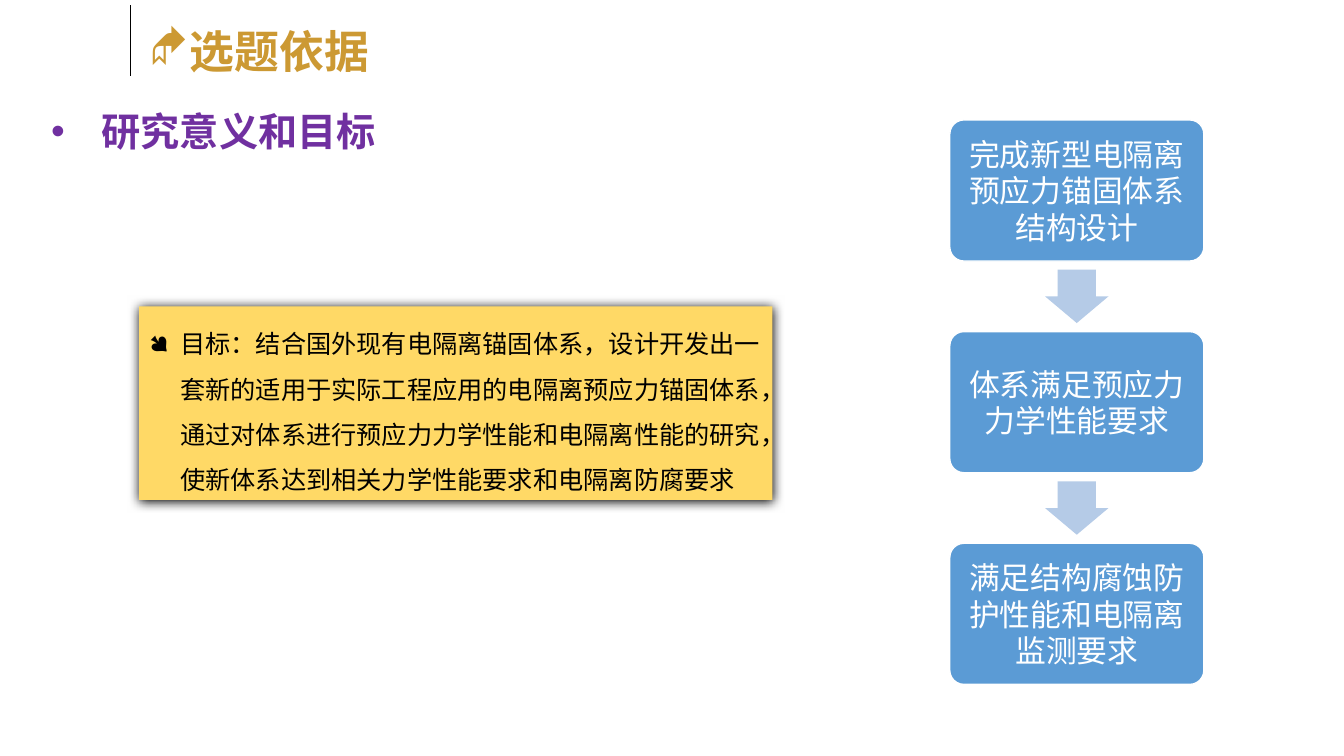
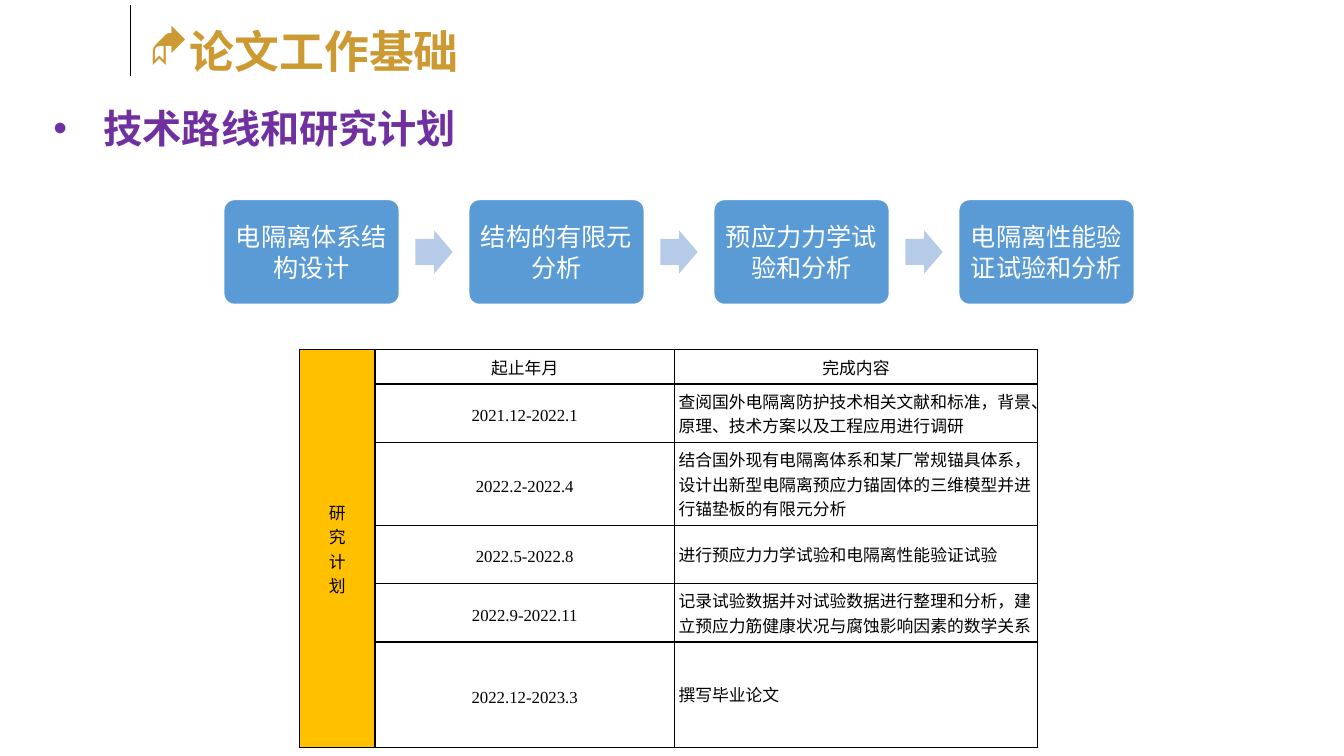
from dataclasses import dataclass

from lxml import etree
from pptx import Presentation
from pptx.dml.color import RGBColor
from pptx.enum.shapes import MSO_CONNECTOR, MSO_SHAPE
from pptx.enum.text import MSO_ANCHOR, PP_ALIGN
from pptx.oxml.ns import qn
from pptx.util import Inches, Pt

LEFT, CENTER = PP_ALIGN.LEFT, PP_ALIGN.CENTER
TOP, MIDDLE = MSO_ANCHOR.TOP, MSO_ANCHOR.MIDDLE
RECTANGLE, ROUNDED = MSO_SHAPE.RECTANGLE, MSO_SHAPE.ROUNDED_RECTANGLE
RIGHT_ARROW, DOWN_ARROW = MSO_SHAPE.RIGHT_ARROW, MSO_SHAPE.DOWN_ARROW
STRAIGHT = MSO_CONNECTOR.STRAIGHT

GOLD, PURPLE = "CC9933", "7030A0"
BLUE, PALE_BLUE = "5B9BD5", "B5CBE7"
YELLOW, AMBER = "FFD966", "FFC000"
BLACK, WHITE = "000000", "FFFFFF"
HEADING_FONT, BODY_FONT, FLOW_FONT = "Noto Sans CJK SC", "Times New Roman", "Calibri"
EAST_ASIAN_FONT = "Noto Sans CJK SC"


@dataclass(frozen=True)
class TextStyle:
    font: str
    size: float
    color: str
    pitch: float  # distance between lines, in points
    bold: bool = False
    align: PP_ALIGN = LEFT


@dataclass(frozen=True)
class Bullet:
    char: str
    font: str
    indent: float


@dataclass(frozen=True)
class Flow:
    """A row or column of equal boxes with an arrow in each gap."""
    steps: tuple[str, ...]
    left: float
    top: float
    width: float
    height: float
    pitch: float
    arrow_length: float
    arrow_breadth: float
    inset: float
    style: TextStyle
    vertical: bool = False


@dataclass(frozen=True)
class PlanRow:
    period: str
    task: str
    height: float


TITLE = TextStyle(HEADING_FONT, 32, GOLD, 41, bold=True)
SUBTITLE = TextStyle(HEADING_FONT, 28, PURPLE, 36, bold=True)
GOAL = TextStyle(BODY_FONT, 18, BLACK, 32.4)
TABLE_LEFT = TextStyle(BODY_FONT, 12, BLACK, 17.4)
TABLE_CENTER = TextStyle(BODY_FONT, 12, BLACK, 17.4, align=CENTER)
FLOW_LARGE = TextStyle(FLOW_FONT, 22, WHITE, 26.2, align=CENTER)
FLOW_SMALL = TextStyle(FLOW_FONT, 18, WHITE, 22.2, align=CENTER)

TITLE_BULLET = Bullet("◆", "Wingdings", 0.38)
SUBTITLE_BULLET = Bullet("•", "Arial", 0.5)
GOAL_BULLET = Bullet("●", "Wingdings", 0.31)

GOAL_TEXT = (
    "目标：结合国外现有电隔离锚固体系，设计开发出一套新的适用于实际工程应用的"
    "电隔离预应力锚固体系，通过对体系进行预应力力学性能和电隔离性能的研究，"
    "使新体系达到相关力学性能要求和电隔离防腐要求"
)
GOAL_FLOW = Flow(
    ("完成新型电隔离预应力锚固体系结构设计", "体系满足预应力力学性能要求",
     "满足结构腐蚀防护性能和电隔离监测要求"),
    9.42, 1.19, 2.52, 1.4, 2.1, 0.53, 0.63, 0.09, FLOW_LARGE, vertical=True)
ROUTE_FLOW = Flow(
    ("电隔离体系结构设计", "结构的有限元分析", "预应力力学试验和分析",
     "电隔离性能验证试验和分析"),
    2.22, 1.98, 1.74, 1.04, 2.43, 0.37, 0.43, 0.07, FLOW_SMALL)

PLAN_HEADING = "研\n究\n计\n划"
PLAN_COLUMNS = (0.75, 2.97, 3.6)
PLAN_ROWS = (
    PlanRow("起止年月", "完成内容", 0.34),
    PlanRow("2021.12-2022.1",
            "查阅国外电隔离防护技术相关文献和标准，背景、原理、技术方案以及工程应用进行调研", 0.58),
    PlanRow("2022.2-2022.4",
            "结合国外现有电隔离体系和某厂常规锚具体系，设计出新型电隔离预应力锚固体的"
            "三维模型并进行锚垫板的有限元分析", 0.82),
    PlanRow("2022.5-2022.8", "进行预应力力学试验和电隔离性能验证试验", 0.58),
    PlanRow("2022.9-2022.11",
            "记录试验数据并对试验数据进行整理和分析，建立预应力筋健康状况与腐蚀影响因素的数学关系", 0.58),
    PlanRow("2022.12-2023.3", "撰写毕业论文", 0.87),
)


def rgb(color: str) -> RGBColor:
    return RGBColor.from_string(color)


def add_bullet(para, bullet: Bullet) -> None:
    properties = para._p.get_or_add_pPr()
    properties.set("marL", str(Inches(bullet.indent)))
    properties.set("indent", str(-Inches(bullet.indent)))
    etree.SubElement(properties, qn("a:buFont"), typeface=bullet.font)
    etree.SubElement(properties, qn("a:buChar"), char=bullet.char)


def write(frame, text: str, style: TextStyle, bullet: Bullet | None = None) -> None:
    frame.text = text
    for para in frame.paragraphs:
        if bullet:
            add_bullet(para, bullet)
        para.alignment = style.align
        para.line_spacing = Pt(style.pitch)
        for span in para.runs:
            span.font.name = style.font
            span.font.size = Pt(style.size)
            span.font.bold = style.bold
            span.font.color.rgb = rgb(style.color)
            etree.SubElement(span._r.get_or_add_rPr(), qn("a:ea"), typeface=EAST_ASIAN_FONT)


def set_insets(frame, horizontal: float, vertical: float) -> None:
    frame.margin_left = frame.margin_right = Inches(horizontal)
    frame.margin_top = frame.margin_bottom = Inches(vertical)


def add_label(page, left: float, top: float, width: float, height: float,
              text: str, style: TextStyle, bullet: Bullet, wrap: bool) -> None:
    box = page.shapes.add_textbox(Inches(left), Inches(top), Inches(width), Inches(height))
    box.text_frame.word_wrap = wrap
    write(box.text_frame, text, style, bullet)


def add_block(page, kind: MSO_SHAPE, left: float, top: float, width: float, height: float,
              fill: str, line: str | None = None):
    block = page.shapes.add_shape(kind, Inches(left), Inches(top), Inches(width), Inches(height))
    block.shadow.inherit = False
    block.fill.solid()
    block.fill.fore_color.rgb = rgb(fill)
    if line:
        block.line.color.rgb = rgb(line)
        block.line.width = Pt(1)
    else:
        block.line.fill.background()
    return block


def add_page(deck, title: str, subtitle: str, title_width: float,
             subtitle_left: float, subtitle_top: float):
    page = deck.slides.add_slide(deck.slide_layouts[6])
    add_label(page, subtitle_left, subtitle_top, 12.48, 0.57,
              subtitle, SUBTITLE, SUBTITLE_BULLET, wrap=True)
    add_label(page, 1.38, 0.15, title_width, 0.64, title, TITLE, TITLE_BULLET, wrap=False)
    rule = page.shapes.add_connector(
        STRAIGHT, Inches(1.29), Inches(0.05), Inches(1.29), Inches(0.75))
    rule.line.color.rgb = rgb(BLACK)
    rule.line.width = Pt(0.75)
    etree.SubElement(rule._element.spPr, qn("a:effectLst"))
    return page


def add_flow(page, flow: Flow) -> None:
    for index, step in enumerate(flow.steps):
        offset = index * flow.pitch
        left = flow.left + (0 if flow.vertical else offset)
        top = flow.top + (offset if flow.vertical else 0)
        box = add_block(page, ROUNDED, left, top, flow.width, flow.height, BLUE, WHITE)
        box.adjustments[0] = 0.1
        frame = box.text_frame
        frame.word_wrap = True
        frame.vertical_anchor = MIDDLE
        set_insets(frame, flow.inset, flow.inset)
        write(frame, step, flow.style)
        if index == len(flow.steps) - 1:
            continue
        # Arrow centred in the gap after this box
        center_x, center_y = left + flow.width / 2, top + flow.height / 2
        if flow.vertical:
            center_y += flow.pitch / 2
            kind, width, height = DOWN_ARROW, flow.arrow_breadth, flow.arrow_length
        else:
            center_x += flow.pitch / 2
            kind, width, height = RIGHT_ARROW, flow.arrow_length, flow.arrow_breadth
        arrow = add_block(page, kind, center_x - width / 2, center_y - height / 2,
                          width, height, PALE_BLUE)
        arrow.adjustments[0] = 0.6
        arrow.adjustments[1] = 0.5


def add_goal(page) -> None:
    panel = add_block(page, RECTANGLE, 1.38, 3.04, 6.28, 1.92, YELLOW)
    effects = panel._element.spPr.find(qn("a:effectLst"))
    shadow = etree.SubElement(effects, qn("a:outerShdw"), blurRad=str(Pt(8.5)),
                              dist=str(Pt(1)), dir="5400000", algn="t", rotWithShape="0")
    etree.SubElement(shadow, qn("a:srgbClr"), val=BLACK)
    frame = panel.text_frame
    frame.word_wrap = True
    frame.vertical_anchor = TOP
    set_insets(frame, 0.1, 0.07)
    write(frame, GOAL_TEXT, GOAL, GOAL_BULLET)


def add_borders(cell) -> None:
    properties = cell._tc.get_or_add_tcPr()
    for position, side in enumerate(("a:lnL", "a:lnR", "a:lnT", "a:lnB")):
        border = etree.Element(qn(side), w=str(Pt(1)))
        fill = etree.SubElement(border, qn("a:solidFill"))
        etree.SubElement(fill, qn("a:srgbClr"), val=BLACK)
        properties.insert(position, border)


def add_plan(page) -> None:
    height = sum(row.height for row in PLAN_ROWS)
    table = page.shapes.add_table(
        len(PLAN_ROWS), len(PLAN_COLUMNS), Inches(2.97), Inches(3.47),
        Inches(sum(PLAN_COLUMNS)), Inches(height)).table
    table.first_row = table.horz_banding = False
    for column, width in zip(table.columns, PLAN_COLUMNS):
        column.width = Inches(width)
    for row_index, plan in enumerate(PLAN_ROWS):
        table.rows[row_index].height = Inches(plan.height)
        heading = PLAN_HEADING if row_index == 0 else ""
        for column_index, text in enumerate((heading, plan.period, plan.task)):
            cell = table.cell(row_index, column_index)
            is_task = column_index == 2 and row_index > 0
            write(cell.text_frame, text, TABLE_LEFT if is_task else TABLE_CENTER)
            cell.vertical_anchor = MIDDLE
            set_insets(cell, 0.04, 0.04)
            cell.fill.solid()
            cell.fill.fore_color.rgb = rgb(AMBER if column_index == 0 else WHITE)
            add_borders(cell)
    table.cell(0, 0).merge(table.cell(len(PLAN_ROWS) - 1, 0))


def main() -> None:
    deck = Presentation()
    deck.slide_width, deck.slide_height = Inches(13.33), Inches(7.5)

    # Significance and goals
    page = add_page(deck, "选题依据", "研究意义和目标", 2.44, 0.41, 0.98)
    add_goal(page)
    add_flow(page, GOAL_FLOW)

    # Technical route and schedule
    page = add_page(deck, "论文工作基础", "技术路线和研究计划", 3.34, 0.43, 0.95)
    add_plan(page)
    add_flow(page, ROUTE_FLOW)

    deck.save("out.pptx")


if __name__ == "__main__":
    main()
